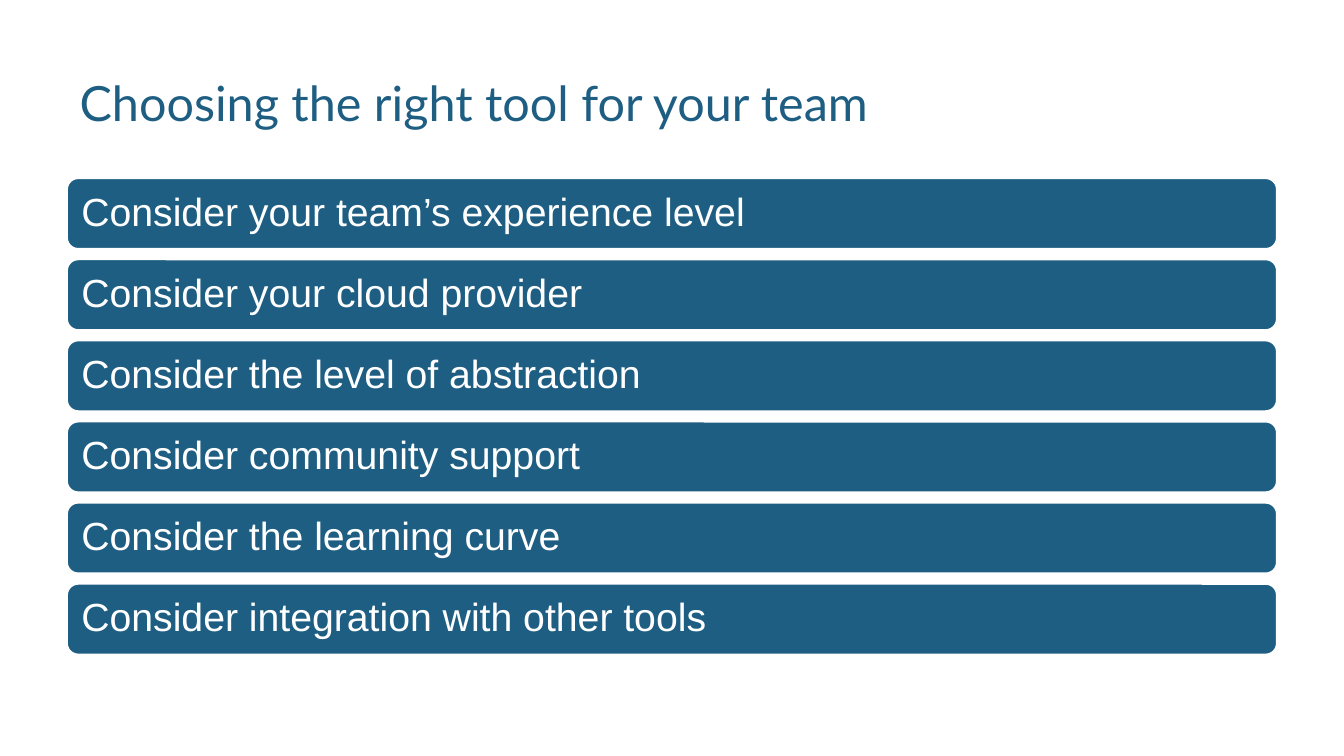
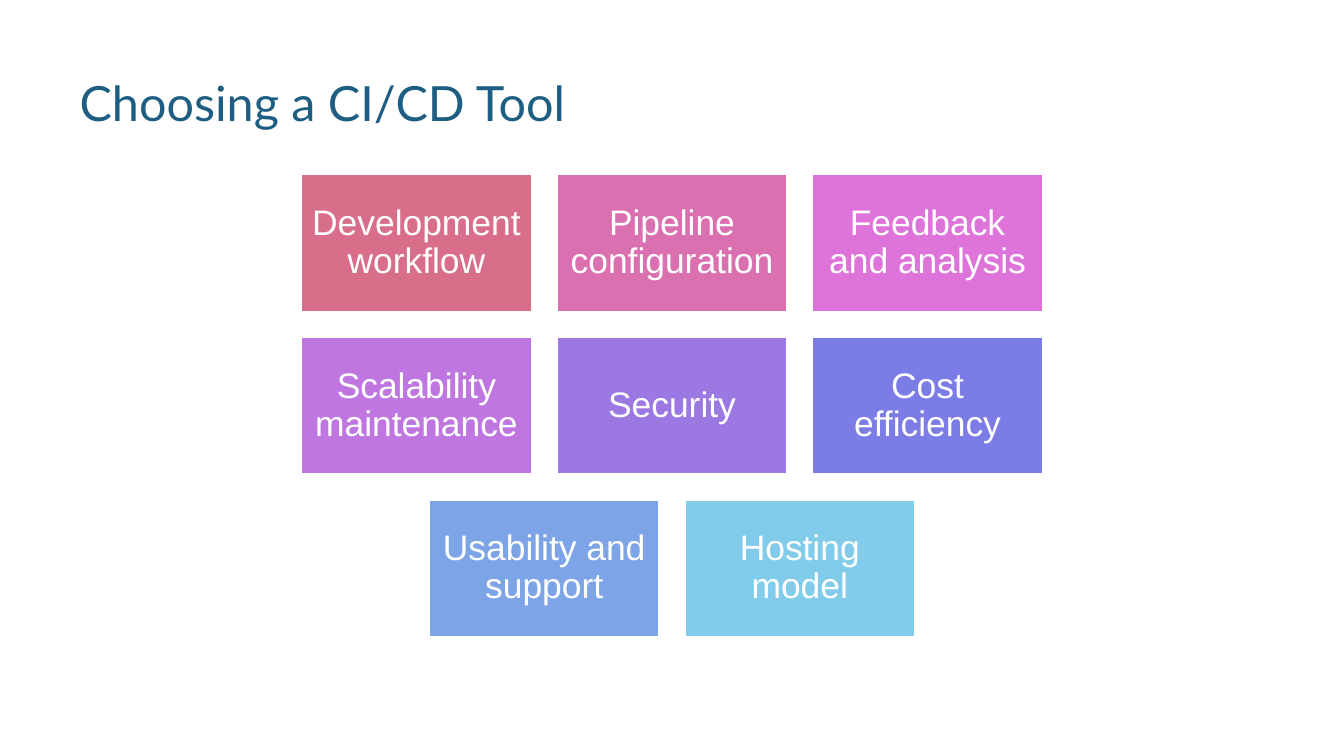
import dataclasses

import pptx
import pptx.dml.color
import pptx.enum.shapes
import pptx.enum.text
import pptx.util

Pt = pptx.util.Pt
Color = pptx.dml.color.RGBColor
Align = pptx.enum.text.PP_ALIGN
Anchor = pptx.enum.text.MSO_ANCHOR
Shape = pptx.enum.shapes.MSO_SHAPE


@dataclasses.dataclass(frozen=True)
class Theme:
    """Colours, fonts and type sizes of the deck."""
    blue: str = "1E5E82"
    white: str = "FFFFFF"
    tiles: tuple = ("D86E89", "DB70B1", "DE73D9", "BF76E0",
                    "9C78E3", "7B7CE5", "7EA4E8", "81CCEA")
    head: str = "Lato"
    body: str = "Arial"
    title: float = 26
    bar: float = 21
    tile: float = 19
    edge: float = 2


THEME = Theme()
WIDTH, HEIGHT = 720, 405
LEFT, SPAN = 35.4, 649.2

POINTS = (
    "Consider your team’s experience level",
    "Consider your cloud provider",
    "Consider the level of abstraction",
    "Consider community support",
    "Consider the learning curve",
    "Consider integration with other tools",
)
TOPICS = (
    ("Development workflow", "Pipeline configuration", "Feedback and analysis"),
    ("Scalability maintenance", "Security", "Cost efficiency"),
    ("Usability and support", "Hosting model"),
)


def apply(item, values):
    """Set each named attribute of an object."""
    for name, value in values.items():
        setattr(item, name, value)


def write(shape, text, font, size, color, align, anchor, inset):
    """Put one formatted paragraph into a shape."""
    frame = shape.text_frame
    frame.text = text
    pad = Pt(inset)
    apply(frame, {
        "word_wrap": True,
        "auto_size": pptx.enum.text.MSO_AUTO_SIZE.NONE,
        "vertical_anchor": anchor,
        "margin_left": pad, "margin_right": pad,
        "margin_top": pad, "margin_bottom": pad,
    })
    para = frame.paragraphs[0]
    apply(para, {"alignment": align, "line_spacing": 0.9})
    face = para.runs[0].font
    apply(face, {"name": font, "size": Pt(size)})
    face.color.rgb = Color.from_string(color)


def add_slide(deck, text):
    """Add a slide with the shared title style."""
    slide = deck.slides.add_slide(deck.slide_layouts[5])
    title = slide.shapes.title
    apply(title, {"left": Pt(LEFT), "top": Pt(35.4),
                  "width": Pt(SPAN), "height": Pt(35.4)})
    write(title, text, THEME.head, THEME.title, THEME.blue,
          Align.LEFT, Anchor.TOP, 7.2)
    return slide


def add_box(slide, kind, place, fill, text, size, align, inset):
    """Add a filled box with a white edge and white text."""
    box = slide.shapes.add_shape(kind, *map(Pt, place))
    box.shadow.inherit = False
    box.fill.solid()
    box.fill.fore_color.rgb = Color.from_string(fill)
    box.line.color.rgb = Color.from_string(THEME.white)
    box.line.width = Pt(THEME.edge)
    write(box, text, THEME.body, size, THEME.white, align,
          Anchor.MIDDLE, inset)


def add_bars(slide, items, top=95, height=38.9, step=43.46):
    """Stack one full-width bar for each item."""
    for row, text in enumerate(items):
        place = (LEFT, top + row * step, SPAN, height)
        add_box(slide, Shape.ROUNDED_RECTANGLE, place, THEME.blue, text,
                THEME.bar, Align.LEFT, 6.3)


def add_tiles(slide, rows, top=93, width=124.4, height=74.6, gap=12.5):
    """Lay out rows of tiles, each row centred on the slide."""
    fills = iter(THEME.tiles)
    for row, items in enumerate(rows):
        count = len(items)
        left = (WIDTH - count * width - (count - 1) * gap) / 2
        for col, text in enumerate(items):
            place = (left + col * (width + gap), top + row * (height + gap),
                     width, height)
            add_box(slide, Shape.RECTANGLE, place, next(fills), text,
                    THEME.tile, Align.CENTER, 5.7)


def main():
    """Build both slides and save the deck."""
    deck = pptx.Presentation()
    apply(deck, {"slide_width": Pt(WIDTH), "slide_height": Pt(HEIGHT)})
    add_bars(add_slide(deck, "Choosing the right tool for your team"), POINTS)
    add_tiles(add_slide(deck, "Choosing a CI/CD Tool"), TOPICS)
    deck.save("out.pptx")


if __name__ == "__main__":
    main()
